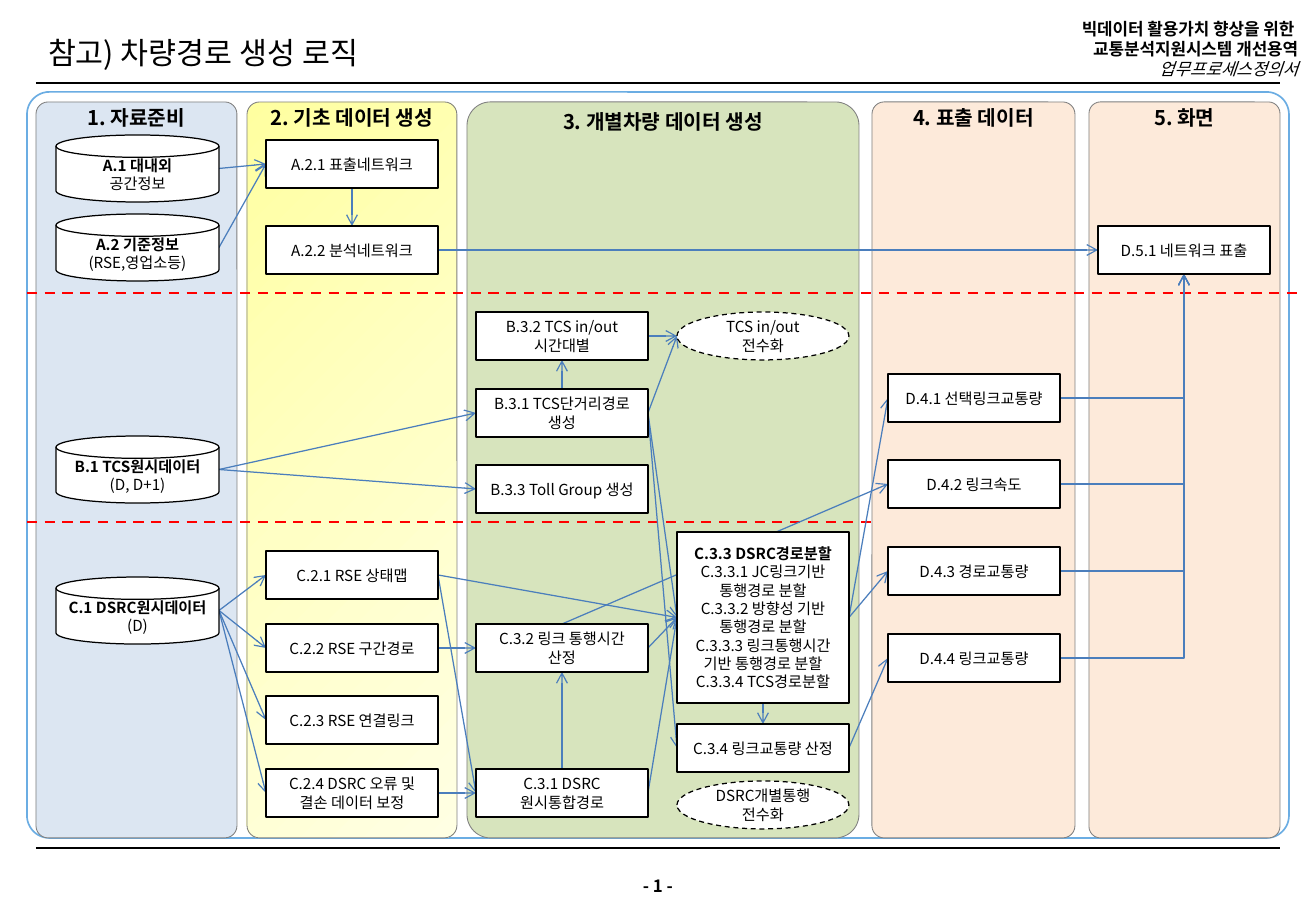
from copy import deepcopy

from lxml.etree import SubElement
from pptx import Presentation
from pptx.dml.color import RGBColor
from pptx.enum.dml import MSO_LINE
from pptx.enum.shapes import MSO_CONNECTOR, MSO_SHAPE
from pptx.enum.text import MSO_ANCHOR, PP_ALIGN
from pptx.oxml.ns import qn
from pptx.util import Pt

PX = 7526
FONT = "Noto Sans CJK KR"
BLACK = RGBColor(0x00, 0x00, 0x00)
WHITE = RGBColor(0xFF, 0xFF, 0xFF)
GRAY = RGBColor(0x80, 0x80, 0x80)
RED = RGBColor(0xFF, 0x00, 0x00)
FLOW_BLUE = RGBColor(0x4B, 0x7E, 0xBC)
FRAME_BLUE = RGBColor(0x6B, 0xAD, 0xE3)
PALE_BLUE = RGBColor(0xDC, 0xE6, 0xF2)
GREEN = RGBColor(0xD7, 0xE4, 0xBD)
PEACH = RGBColor(0xFD, 0xEA, 0xDA)
YELLOWS = [RGBColor(0xFF, 0xFF, 0xA0), RGBColor(0xFF, 0xFF, 0xC5), RGBColor(0xFF, 0xFF, 0xE3)]

prs = Presentation()
prs.slide_width, prs.slide_height = 1316 * PX, 911 * PX
slide = prs.slides.add_slide(prs.slide_layouts[6])
shapes = slide.shapes


def write(shape, text, size=9, bold_lines=0, italic_from=99, align=PP_ALIGN.CENTER,
          anchor=MSO_ANCHOR.MIDDLE, inset=(7, 6), leading=None):
    frame = shape.text_frame
    frame.word_wrap = True
    frame.vertical_anchor = anchor
    frame.margin_left = frame.margin_right = inset[0] * PX
    frame.margin_top = frame.margin_bottom = inset[1] * PX
    frame.text = text
    for index, paragraph in enumerate(frame.paragraphs):
        paragraph.alignment = align
        if leading:
            paragraph.line_spacing = Pt(leading)
        for run in paragraph.runs:
            run.font.name = FONT
            run.font.size = Pt(size)
            run.font.bold = index < bold_lines
            run.font.italic = index >= italic_from
            run.font.color.rgb = BLACK
            SubElement(run.font._element, qn("a:ea"), typeface=FONT)


def connect(start, end, color=FLOW_BLUE, width=0.75, dashed=False, arrow=False, bent=False):
    kind = MSO_CONNECTOR.ELBOW if bent else MSO_CONNECTOR.STRAIGHT
    link = shapes.add_connector(kind, *(round(value * PX) for value in (*start, *end)))
    link.line.color.rgb = color
    link.line.width = Pt(width)
    if dashed:
        link.line.dash_style = MSO_LINE.DASH
    if bent:
        link._element.spPr.find(qn("a:prstGeom")).set("prst", "bentConnector2")
    if arrow:
        SubElement(link.line._get_or_add_ln(), qn("a:tailEnd"), type="arrow")
    SubElement(link._element.spPr, qn("a:effectLst"))


for rule_y in (83, 848):
    connect((36, rule_y), (1280, rule_y), color=BLACK)

project = shapes.add_textbox(725 * PX, 16 * PX, 585 * PX, 66 * PX)
write(project, "빅데이터 활용가치 향상을 위한 \n교통분석지원시스템 개선용역\n업무프로세스정의서",
      size=10, bold_lines=2, italic_from=2, align=PP_ALIGN.RIGHT, inset=(12, 6))
title = shapes.add_textbox(36 * PX, 16 * PX, 1244 * PX, 55 * PX)
write(title, "참고) 차량경로 생성 로직", size=18, align=PP_ALIGN.LEFT, inset=(12, 6), leading=32)
page_number = shapes.add_textbox(624 * PX, 875 * PX, 68 * PX, 21 * PX)
write(page_number, "- 1 -", size=10, bold_lines=1, inset=(0, 0))

outline = shapes.add_shape(MSO_SHAPE.ROUNDED_RECTANGLE, 27 * PX, 92 * PX, 1262 * PX, 746 * PX)
outline.shadow.inherit = False
outline.adjustments[0] = 0.03
outline.fill.background()
outline.line.color.rgb = FRAME_BLUE
outline.line.width = Pt(1)

stages = [
    ("1. 자료준비", 36, 201, PALE_BLUE),
    ("2. 기초 데이터 생성", 247, 210, None),
    ("3. 개별차량 데이터 생성", 467, 392, GREEN),
    ("4. 표출 데이터", 872, 203, PEACH),
    ("5. 화면", 1089, 191, PEACH),
]
for heading, x, width, color in stages:
    stage = shapes.add_shape(MSO_SHAPE.ROUNDED_RECTANGLE, x * PX, 102 * PX, width * PX, 736 * PX)
    stage.shadow.inherit = False
    stage.adjustments[0] = 0.06
    stage.line.color.rgb = GRAY
    stage.line.width = Pt(0.5)
    if color:
        stage.fill.solid()
        stage.fill.fore_color.rgb = color
    else:
        stage.fill.gradient()
        stage.fill.gradient_angle = 315
        stop_list = stage._element.spPr.find(".//" + qn("a:gsLst"))
        stop_list.append(deepcopy(stop_list[0]))
        for index, stop in enumerate(stage.fill.gradient_stops):
            stop.position = index / 2
            stop.color.rgb = YELLOWS[index]
    write(stage, heading, size=12, bold_lines=1, anchor=MSO_ANCHOR.TOP, inset=(0, 0))

for y, right in ((293, 1299), (522, 872)):
    connect((27, y), (right, y), color=RED, width=1.5, dashed=True)

DISK, STEP, OVAL = MSO_SHAPE.FLOWCHART_MAGNETIC_DISK, MSO_SHAPE.RECTANGLE, MSO_SHAPE.OVAL
columns = [
    (DISK, 56, 163, 67, 1, [
        ("A.1", 135, "A.1 대내외\n공간정보"),
        ("A.2", 214, "A.2 기준정보\n(RSE,영업소등)"),
        ("B.1", 436, "B.1 TCS원시데이터\n(D, D+1)"),
        ("C.1", 577, "C.1 DSRC원시데이터\n(D)")]),
    (STEP, 266, 172, 48, 0, [
        ("A.2.1", 140, "A.2.1 표출네트워크"),
        ("A.2.2", 226, "A.2.2 분석네트워크"),
        ("C.2.1", 551, "C.2.1 RSE 상태맵"),
        ("C.2.2", 624, "C.2.2 RSE 구간경로"),
        ("C.2.3", 696, "C.2.3 RSE 연결링크"),
        ("C.2.4", 769, "C.2.4 DSRC 오류 및\n결손 데이터 보정")]),
    (STEP, 476, 172, 48, 0, [
        ("B.3.2", 312, "B.3.2 TCS in/out\n시간대별"),
        ("B.3.1", 389, "B.3.1 TCS단거리경로 생성"),
        ("B.3.3", 465, "B.3.3 Toll Group 생성"),
        ("C.3.2", 624, "C.3.2 링크 통행시간\n산정"),
        ("C.3.1", 769, "C.3.1 DSRC 원시통합경로")]),
    (OVAL, 677, 172, 48, 0, [
        ("TCS", 312, "TCS in/out\n전수화"),
        ("DSRC", 781, "DSRC개별통행\n전수화")]),
    (STEP, 677, 172, 171, 1, [
        ("C.3.3", 532, "C.3.3 DSRC경로분할\nC.3.3.1 JC링크기반 통행경로 분할\n"
                       "C.3.3.2 방향성 기반 통행경로 분할\n"
                       "C.3.3.3 링크통행시간 기반 통행경로 분할\nC.3.3.4 TCS경로분할")]),
    (STEP, 677, 172, 48, 0, [("C.3.4", 724, "C.3.4 링크교통량 산정")]),
    (STEP, 888, 172, 48, 0, [
        ("D.4.1", 374, "D.4.1 선택링크교통량"),
        ("D.4.2", 460, "D.4.2 링크속도"),
        ("D.4.3", 547, "D.4.3 경로교통량"),
        ("D.4.4", 634, "D.4.4 링크교통량")]),
    (STEP, 1098, 172, 48, 0, [("D.5.1", 226, "D.5.1 네트워크 표출")]),
]
ports = {}
for _, x, width, height, _, nodes in columns:
    for code, y, _ in nodes:
        ports[code] = {"left": (x, y + height / 2), "right": (x + width, y + height / 2),
                       "top": (x + width / 2, y), "bottom": (x + width / 2, y + height)}

flows = {
    ("right", "left"): [
        ("A.1", "A.2.1"), ("A.2", "A.2.1"), ("A.2.2", "D.5.1"), ("B.1", "B.3.1"),
        ("B.1", "B.3.3"), ("B.3.2", "TCS"), ("B.3.1", "TCS"), ("B.3.1", "C.3.3"),
        ("B.3.1", "C.3.4"), ("C.1", "C.2.1"), ("C.1", "C.2.2"), ("C.1", "C.2.3"),
        ("C.1", "C.2.4"), ("C.2.1", "C.3.3"), ("C.2.1", "C.3.1"), ("C.2.2", "C.3.2"),
        ("C.2.4", "C.3.1"), ("C.3.2", "C.3.3"), ("C.3.1", "C.3.3"), ("C.3.3", "D.4.1"),
        ("C.3.3", "D.4.3"), ("C.3.4", "D.4.4")],
    ("bottom", "top"): [("A.2.1", "A.2.2"), ("C.3.3", "C.3.4")],
    ("top", "bottom"): [("B.3.1", "B.3.2"), ("C.3.1", "C.3.2")],
    ("top", "left"): [("C.3.2", "D.4.2")],
    ("right", "bottom"): [(f"D.4.{number}", "D.5.1") for number in range(1, 5)],
}
for (exit_side, entry_side), pairs in flows.items():
    for source, target in pairs:
        connect(ports[source][exit_side], ports[target][entry_side], arrow=True,
                bent=entry_side == "bottom" and exit_side == "right")

for outline_kind, x, width, height, bold_lines, nodes in columns:
    for code, y, label in nodes:
        node = shapes.add_shape(outline_kind, x * PX, y * PX, width * PX, height * PX)
        node.shadow.inherit = False
        node.fill.solid()
        node.fill.fore_color.rgb = WHITE
        node.line.color.rgb = BLACK
        node.line.width = Pt(0.75)
        if outline_kind == OVAL:
            node.line.dash_style = MSO_LINE.DASH
        write(node, label, bold_lines=bold_lines)

prs.save("out.pptx")
